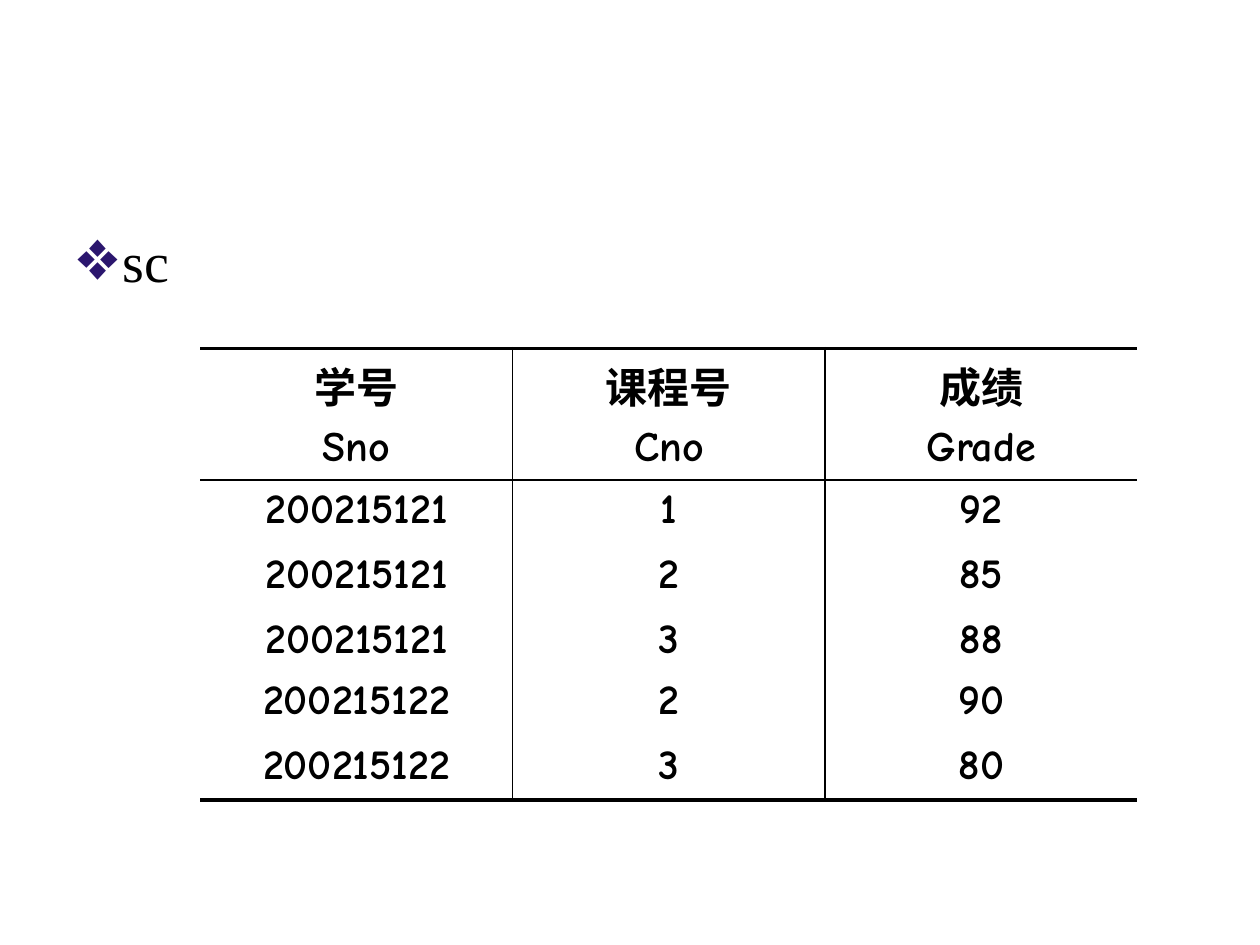
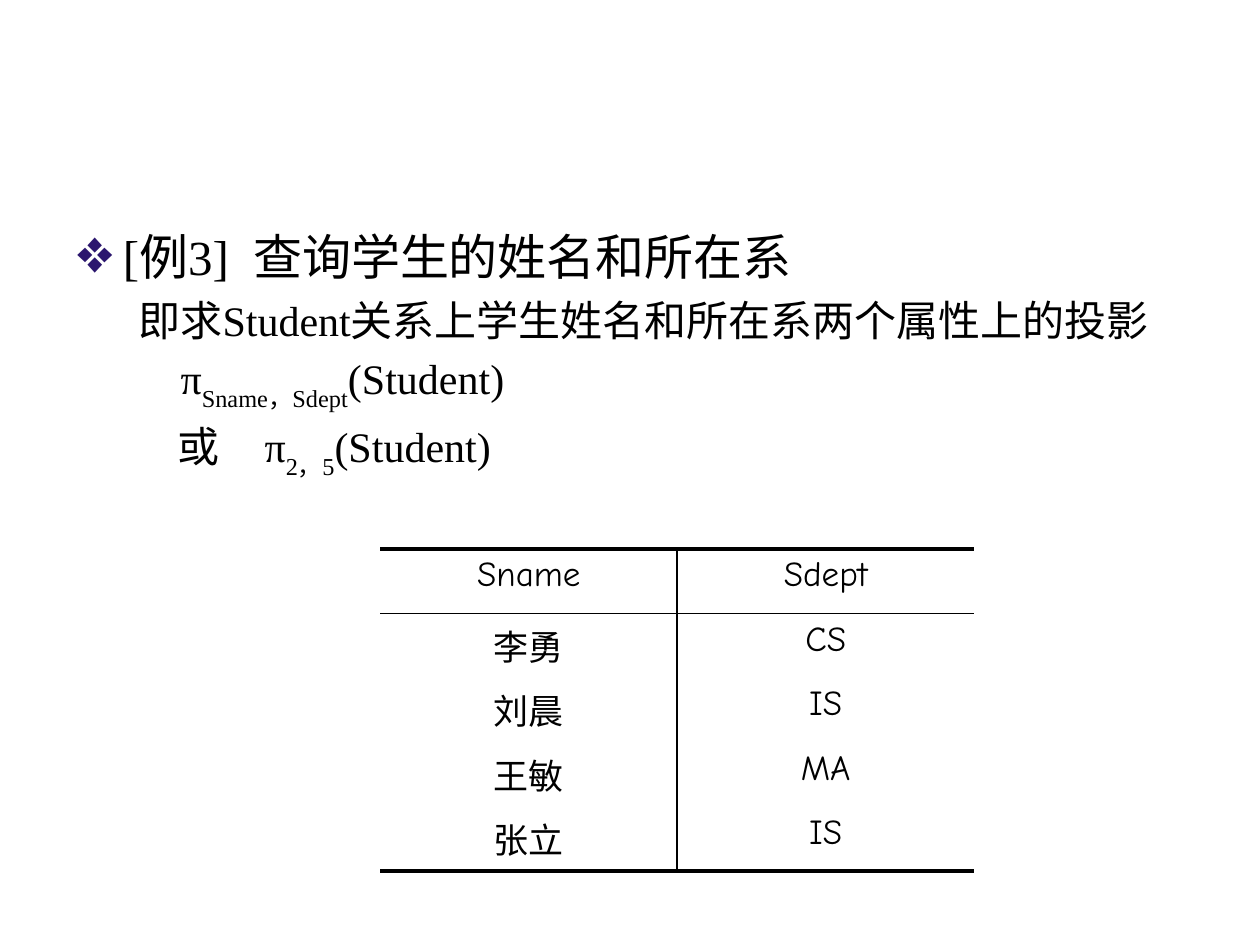
from dataclasses import dataclass

from lxml import etree
from pptx import Presentation
from pptx.dml.color import RGBColor
from pptx.enum import text as txt
from pptx.oxml import ns
from pptx.util import Pt

INK = "000000"
BULLET_COLOR = "2B166E"
BODY_FONT = "Times New Roman"
TABLE_FONT = "Comic Neue"
BODY_BOX = (36, 126, 648, 356.4)
THICK, THIN = 2.25, 1
SUBSCRIPT = -30000


@dataclass
class Line:
    """One body paragraph; phrases alternate between normal text and subscript."""
    phrases: list[str]
    size: float
    margin: float
    indent: float
    level: int = 0
    bullet: bool = False
    tabs: tuple[float, ...] = ()
    align: txt.PP_ALIGN = txt.PP_ALIGN.JUSTIFY


@dataclass
class Relation:
    left: float
    top: float
    column_width: float
    row_heights: list[float]
    rows: list[list[str]]
    size: float
    bold: bool = False


def color(value: str) -> RGBColor:
    return RGBColor.from_string(value)


def child(parent, tag: str, **attributes):
    element = etree.SubElement(parent, ns.qn(tag))
    for key, value in attributes.items():
        element.set(key, str(value))
    return element


def write(paragraph, words: str, *, size: float, font: str,
          bold: bool = False, baseline: int = 0) -> None:
    run = paragraph.add_run()
    run.text = words
    run.font.size = Pt(size)
    run.font.name = font
    run.font.bold = bold
    run.font.color.rgb = color(INK)
    if baseline:
        run._r.get_or_add_rPr().set("baseline", str(baseline))


def format_line(paragraph, line: Line) -> None:
    paragraph.level = line.level
    paragraph.alignment = line.align
    props = paragraph._p.get_or_add_pPr()
    props.set("marL", str(Pt(line.margin)))
    props.set("indent", str(Pt(line.indent)))
    if line.bullet:
        child(child(props, "a:buClr"), "a:srgbClr", val=BULLET_COLOR)
        child(props, "a:buFont", typeface=BODY_FONT)
        child(props, "a:buChar", char="❖")
    else:
        child(props, "a:buNone")
    if line.tabs:
        stops = child(props, "a:tabLst")
        for stop in line.tabs:
            child(stops, "a:tab", pos=Pt(stop), algn="l")


def fill_body(slide, lines: list[Line]) -> None:
    body = slide.placeholders[1]
    body.left, body.top, body.width, body.height = map(Pt, BODY_BOX)
    frame = body.text_frame
    frame.auto_size = txt.MSO_AUTO_SIZE.NONE
    for i, line in enumerate(lines):
        paragraph = frame.add_paragraph() if i else frame.paragraphs[0]
        format_line(paragraph, line)
        for j, phrase in enumerate(line.phrases):
            write(paragraph, phrase, size=line.size, font=BODY_FONT,
                  baseline=SUBSCRIPT if j % 2 else 0)


def set_borders(cell, widths: dict[str, float]) -> None:
    """Draw the sides L, R, T, B in the given widths; zero means no line."""
    props = cell._tc.get_or_add_tcPr()
    for side, width in widths.items():
        edge = child(props, f"a:ln{side}", w=Pt(width))
        if width:
            child(child(edge, "a:solidFill"), "a:srgbClr", val=INK)
        else:
            child(edge, "a:noFill")


def add_relation(slide, relation: Relation) -> None:
    """Draw a table ruled above, below, under its header and between columns."""
    n_rows, n_columns = len(relation.rows), len(relation.rows[0])
    table = slide.shapes.add_table(
        n_rows, n_columns, Pt(relation.left), Pt(relation.top),
        Pt(relation.column_width * n_columns),
        Pt(sum(relation.row_heights))).table
    table.first_row = table.horz_banding = False
    for column in table.columns:
        column.width = Pt(relation.column_width)
    for r, (values, height) in enumerate(zip(relation.rows, relation.row_heights)):
        table.rows[r].height = Pt(height)
        for c, value in enumerate(values):
            cell = table.cell(r, c)
            set_borders(cell, {
                "L": THIN if c else 0,
                "R": THIN if c < n_columns - 1 else 0,
                "T": {0: THICK, 1: THIN}.get(r, 0),
                "B": {0: THIN, n_rows - 1: THICK}.get(r, 0)})
            cell.fill.background()
            for i, words in enumerate(value.split("\n")):
                frame = cell.text_frame
                paragraph = frame.add_paragraph() if i else frame.paragraphs[0]
                paragraph.alignment = txt.PP_ALIGN.CENTER
                paragraph.space_before = Pt(relation.size * 0.2)
                write(paragraph, words, size=relation.size, font=TABLE_FONT,
                      bold=relation.bold)


def heading(words: str, size: float, align: txt.PP_ALIGN) -> Line:
    return Line([words], size, 27, -27, bullet=True, align=align)


def detail(*phrases: str, margin: float = 0, indent: float = 0,
           tabs: tuple[float, ...] = ()) -> Line:
    return Line(list(phrases), 24, margin, indent, level=1, tabs=tabs)


COURSE_GRADES = Relation(
    left=114.5, top=199.2, column_width=178.5,
    row_heights=[75, 37, 37, 35, 37, 37], size=24, bold=True,
    rows=[["学号\nSno", "课程号\nCno", "成绩\nGrade"],
          ["200215121", "1", "92"],
          ["200215121", "2", "85"],
          ["200215121", "3", "88"],
          ["200215122", "2", "90"],
          ["200215122", "3", "80"]])

PROJECTION = Relation(
    left=217.3, top=313.8, column_width=169.7, row_heights=[36.8] * 5, size=20,
    rows=[["Sname", "Sdept"],
          ["李勇", "CS"],
          ["刘晨", "IS"],
          ["王敏", "MA"],
          ["张立", "IS"]])

SLIDES = [
    ([heading("sc", 32, txt.PP_ALIGN.LEFT)], COURSE_GRADES),
    ([heading("[例3]  查询学生的姓名和所在系", 28, txt.PP_ALIGN.JUSTIFY),
      detail("即求Student关系上学生姓名和所在系两个属性上的投影",
             margin=58.5, indent=-22.5),
      detail("π", "Sname，Sdept", "(Student)", indent=60),
      detail("或\tπ", "2，5", "(Student)", indent=58.5, tabs=(120.8,))],
     PROJECTION),
]


def main() -> None:
    deck = Presentation()
    deck.slide_width, deck.slide_height = Pt(720), Pt(540)
    for lines, relation in SLIDES:
        slide = deck.slides.add_slide(deck.slide_layouts[1])
        unused_title = slide.shapes.title._element
        unused_title.getparent().remove(unused_title)
        fill_body(slide, lines)
        add_relation(slide, relation)
    deck.save("out.pptx")


if __name__ == "__main__":
    main()
